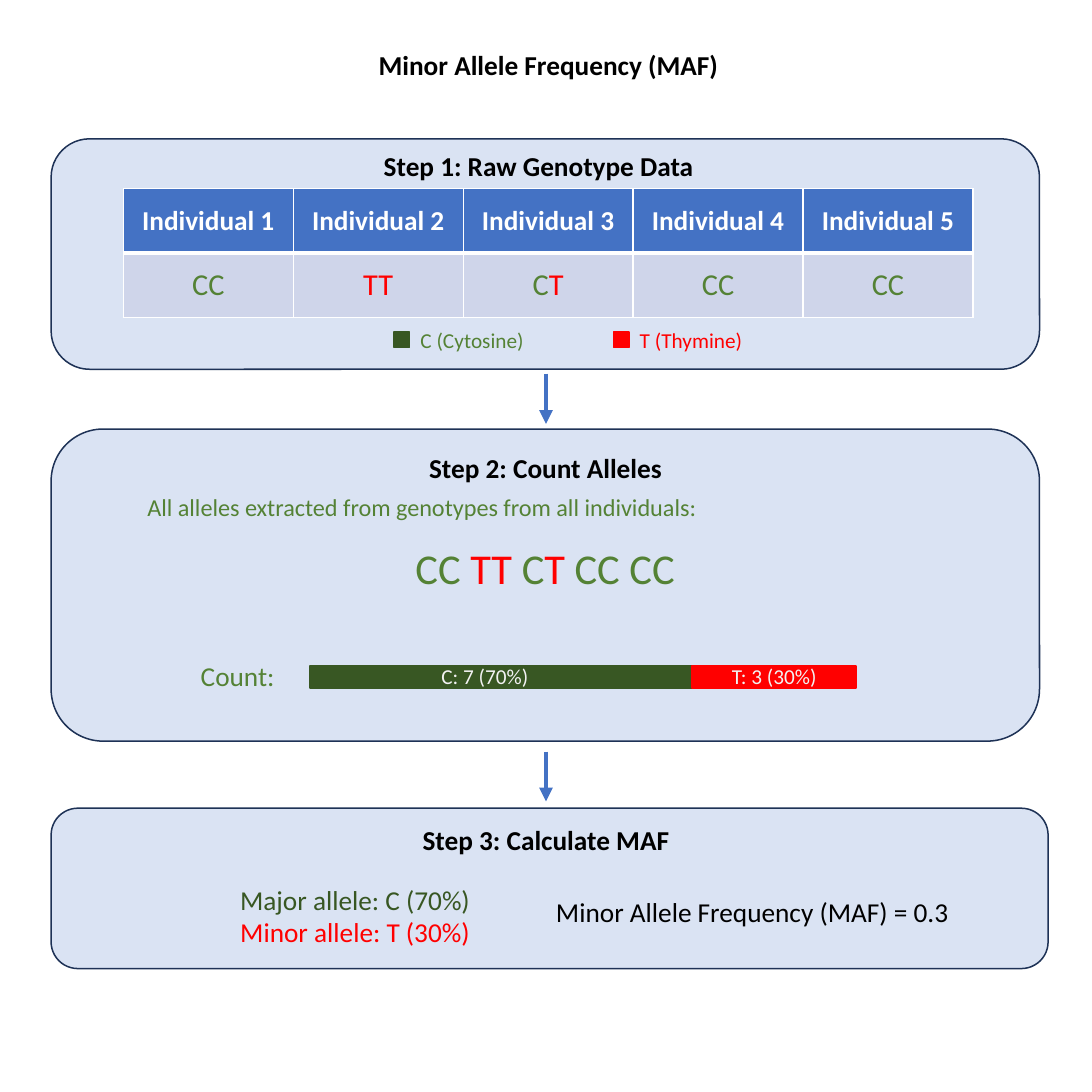
"""Build a slide that explains minor allele frequency in three steps."""
from lxml import etree
from pptx import Presentation
from pptx.dml.color import RGBColor
from pptx.enum.shapes import MSO_CONNECTOR as CONN, MSO_SHAPE as SHAPE
from pptx.enum.text import MSO_ANCHOR as ANCHOR, MSO_AUTO_SIZE as AUTO, PP_ALIGN as ALIGN
from pptx.oxml import parse_xml
from pptx.oxml.ns import nsdecls, qn
from pptx.util import Cm, Pt

COLORS = {
    "black": "000000", "white": "FFFFFF", "pale": "F2F2F2",
    "panel": "DAE3F3", "outline": "1E3256", "blue": "4472C4", "cell": "CFD5EA",
    "C": "548235", "T": "FF0000", "dark_C": "385723",
}
GENOTYPES = ["CC", "TT", "CT", "CC", "CC"]
CENTER = 12.7


def rgb(name):
    """Return the named colour."""
    return RGBColor.from_string(COLORS[name])


def apply(obj, values):
    """Set attributes of an object from a dict."""
    for name, value in values.items():
        setattr(obj, name, value)


def write(tf, paragraphs, size, bold=False, align=ALIGN.CENTER):
    """Fill a text frame with paragraphs of (text, colour) runs."""
    for i, runs in enumerate(paragraphs):
        p = tf.paragraphs[0] if i == 0 else tf.add_paragraph()
        p.alignment = align
        for text, color in runs:
            r = p.add_run()
            r.text = text
            apply(r.font, {"name": "Calibri", "size": Pt(size), "bold": bold})
            r.font.color.rgb = rgb(color)


def add_text(s, box, paragraphs, size, bold=False, align=ALIGN.CENTER):
    """Add a text box that wraps and fits its text."""
    tf = s.shapes.add_textbox(*map(Cm, box)).text_frame
    apply(tf, {"word_wrap": True, "auto_size": AUTO.SHAPE_TO_FIT_TEXT,
               "vertical_anchor": ANCHOR.MIDDLE})
    write(tf, paragraphs, size, bold, align)


def add_heading(s, box, text):
    """Add a bold black heading."""
    add_text(s, box, [[(text, "black")]], 18, bold=True)


def add_block(s, kind, box, fill, line):
    """Add a filled preset shape with a thin outline."""
    sp = s.shapes.add_shape(kind, *map(Cm, box))
    sp.shadow.inherit = False
    sp.fill.solid()
    sp.fill.fore_color.rgb = rgb(fill)
    sp.line.color.rgb = rgb(line)
    sp.line.width = Pt(1)


def add_panel(s, box):
    """Add the rounded background of a step."""
    add_block(s, SHAPE.ROUNDED_RECTANGLE, box, "panel", "outline")


def add_arrow(s, top, bottom):
    """Add a downward arrow between two steps."""
    cx = s.shapes.add_connector(CONN.STRAIGHT, Cm(CENTER), Cm(top), Cm(CENTER), Cm(bottom))
    cx.line.color.rgb = rgb("blue")
    cx.line.width = Pt(3)
    etree.SubElement(cx.line._get_or_add_ln(), qn("a:tailEnd"), type="triangle")
    etree.SubElement(cx._element.spPr, qn("a:effectLst"))


def format_cell(cell, fill, bottom):
    """Give a table cell its margins, white borders and fill."""
    apply(cell, {"margin_left": Cm(0.19), "margin_right": Cm(0.19), "margin_top": Cm(0.09),
                 "margin_bottom": Cm(0.09), "vertical_anchor": ANCHOR.MIDDLE})
    for side, width in {"L": 1, "R": 1, "T": 1, "B": bottom}.items():
        cell._tc.get_or_add_tcPr().append(parse_xml(
            f'<a:ln{side} {nsdecls("a")} w="{Pt(width)}"><a:solidFill>'
            f'<a:srgbClr val="{COLORS["white"]}"/></a:solidFill></a:ln{side}>'))
    cell.fill.solid()
    cell.fill.fore_color.rgb = rgb(fill)


def add_genotypes(s, box):
    """Add the table of individuals and their genotypes."""
    table = s.shapes.add_table(2, len(GENOTYPES), *map(Cm, box)).table
    for i, genotype in enumerate(GENOTYPES):
        head, body = table.cell(0, i), table.cell(1, i)
        format_cell(head, "blue", 3)
        format_cell(body, "cell", 1)
        write(head.text_frame, [[(f"Individual {i + 1}", "white")]], 18, bold=True)
        write(body.text_frame, [[(allele, allele) for allele in genotype]], 20)


def add_legend(s, left, text, swatch, color):
    """Add a legend swatch with its label."""
    add_block(s, SHAPE.RECTANGLE, (left, 7.72, 0.36, 0.36), swatch, swatch)
    add_text(s, (left + 0.36, 7.48, 3.28, 0.86), [[(text, color)]], 14, align=ALIGN.LEFT)


def add_raw_data(s):
    """Add step 1."""
    add_panel(s, (1.19, 3.23, 22.99, 5.36))
    add_heading(s, (6.93, 3.35, 11.2, 1.02), "Step 1: Raw Genotype Data")
    add_genotypes(s, (2.87, 4.39, 19.76, 3))
    add_legend(s, 9.17, "C (Cytosine)", "dark_C", "C")
    add_legend(s, 14.27, "T (Thymine)", "T", "T")


def add_count(s):
    """Add step 2."""
    add_panel(s, (1.19, 9.98, 22.99, 7.26))
    add_heading(s, (8.97, 10.36, 7.44, 1.02), "Step 2: Count Alleles")
    add_text(s, (2.87, 11.33, 13.89, 0.94),
             [[("All alleles extracted from genotypes from all individuals:", "C")]], 16)
    alleles = [("CC ", "C"), ("TT", "T"), (" C", "C"), ("T ", "T"), ("CC CC", "C")]
    add_text(s, (7.75, 12.47, 9.86, 1.45), [alleles], 28)
    add_text(s, (2.87, 15.21, 5.46, 1.02), [[("Count: ", "C")]], 18)
    bars = [(7.21, 8.89, "dark_C", 6.3, "C: 7 (70%)"), (16.1, 3.81, "T", 13.03, "T: 3 (30%)")]
    for left, width, color, label_left, label in bars:
        add_block(s, SHAPE.RECTANGLE, (left, 15.49, width, 0.51), color, color)
        add_text(s, (label_left, 15.29, 9.96, 0.86), [[(label, "pale")]], 14)


def add_result(s):
    """Add step 3."""
    add_panel(s, (1.19, 18.8, 23.19, 3.73))
    add_heading(s, (7.8, 19.02, 9.8, 1.02), "Step 3: Calculate MAF")
    add_text(s, (3.28, 20.4, 9.96, 1.8),
             [[("Major allele: C (70%)", "dark_C")], [("Minor allele: T (30%)", "T")]], 18)
    add_text(s, (12.52, 20.7, 9.96, 1.02),
             [[("Minor Allele Frequency (MAF) = 0.3", "black")]], 18)


def main():
    """Build and save the slide."""
    prs = Presentation()
    apply(prs, {"slide_width": Cm(25.4), "slide_height": Cm(25.4)})
    s = prs.slides.add_slide(prs.slide_layouts[6])
    add_heading(s, (6.55, 0.99, 12.42, 1.02), "Minor Allele Frequency (MAF)")
    add_raw_data(s)
    add_arrow(s, 8.69, 9.86)
    add_count(s)
    add_arrow(s, 17.48, 18.64)
    add_result(s)
    prs.save("out.pptx")


if __name__ == "__main__":
    main()
